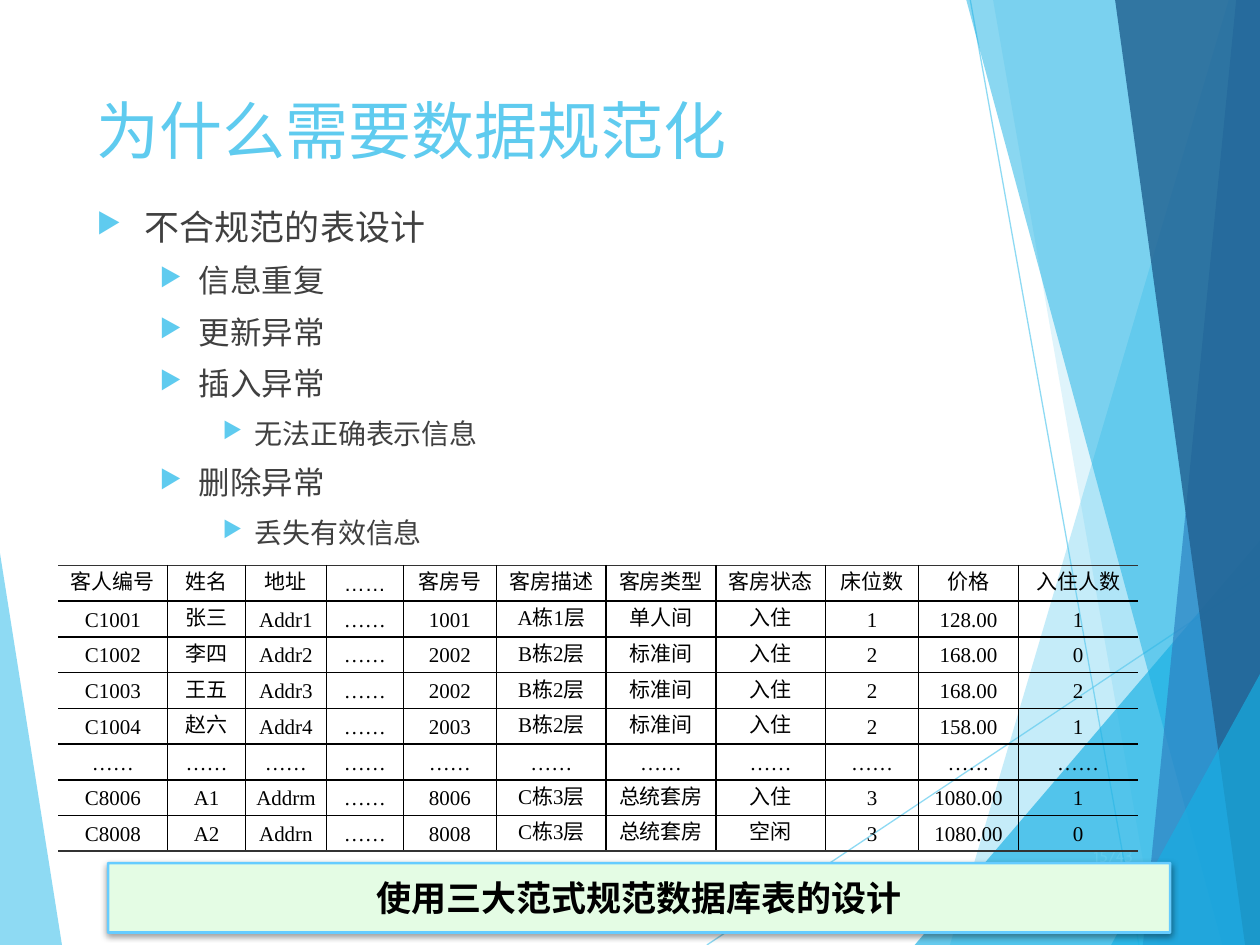
from lxml.etree import SubElement
from pptx import Presentation
from pptx.dml.color import RGBColor
from pptx.enum.shapes import MSO_CONNECTOR as Connector, MSO_SHAPE as Shape
from pptx.enum.text import MSO_ANCHOR as Anchor, PP_ALIGN as Align
from pptx.oxml.ns import qn
from pptx.util import Cm, Pt

COLORS = {
    "sky": "5FCBEF", "cyan": "17B0E4", "blue": "2E83C3", "navy": "226292",
    "text": "404040", "black": "000000", "rule": "333333",
    "mint": "E4FCE4", "border": "66CCFF",
}
CJK = "Noto Sans CJK SC"
RIGHT, BOTTOM = 25.4, 19.05

LEFT_WEDGE = ([(0, 11.15), (1.25, BOTTOM), (0, BOTTOM)], "sky", 70)
RAYS = [((14.25, BOTTOM), (RIGHT, 11.61)), ((19.56, 0), (22.96, BOTTOM))]


def strip(top_x, bottom_x):
    return [(top_x, 0), (bottom_x, BOTTOM), (RIGHT, BOTTOM), (RIGHT, 0)]


def corner(bottom_x, right_y):
    return [(bottom_x, BOTTOM), (RIGHT, right_y), (RIGHT, BOTTOM)]


RIGHT_FACETS = [
    (strip(24.77, 19.15), "sky", 36),
    (strip(20.02, 23.34), "sky", 20),
    (corner(18.44, 10.9), "cyan", 66),
    (strip(19.48, 24.64), "cyan", 50),
    (strip(24.92, 23.04), "blue", 70),
    (strip(22.48, 25.1), "navy", 82),
    (corner(22.4, 13.59), "cyan", 66),
]

TITLE = "为什么需要数据规范化"
OUTLINE = [
    (0, "不合规范的表设计"),
    (1, "信息重复"),
    (1, "更新异常"),
    (1, "插入异常"),
    (2, "无法正确表示信息"),
    (1, "删除异常"),
    (2, "丢失有效信息"),
]
LEVELS = [(20, 0.97, 0.97), (18, 2.06, 0.79), (16, 3.18, 0.64)]
PAGE_NUMBER = "15/43"
CONCLUSION = "使用三大范式规范数据库表的设计"

DOTS = "……"
COLUMN_WIDTHS = [2.21, 1.57, 1.63, 1.55, 1.88, 2.21, 2.21, 2.21, 1.88, 2.01, 2.41]
ROW_HEIGHT = 0.72
ROWS = [
    ["客人编号", "姓名", "地址", DOTS, "客房号", "客房描述", "客房类型", "客房状态",
     "床位数", "价格", "入住人数"],
    ["C1001", "张三", "Addr1", DOTS, "1001", "A栋1层", "单人间", "入住", "1", "128.00", "1"],
    ["C1002", "李四", "Addr2", DOTS, "2002", "B栋2层", "标准间", "入住", "2", "168.00", "0"],
    ["C1003", "王五", "Addr3", DOTS, "2002", "B栋2层", "标准间", "入住", "2", "168.00", "2"],
    ["C1004", "赵六", "Addr4", DOTS, "2003", "B栋2层", "标准间", "入住", "2", "158.00", "1"],
    [DOTS] * len(COLUMN_WIDTHS),
    ["C8006", "A1", "Addrm", DOTS, "8006", "C栋3层", "总统套房", "入住", "3", "1080.00", "1"],
    ["C8008", "A2", "Addrn", DOTS, "8008", "C栋3层", "总统套房", "空闲", "3", "1080.00", "0"],
]


def color(name):
    return RGBColor.from_string(COLORS[name])


def set_opacity(properties, percent):
    for node in properties.iter(qn("a:srgbClr")):
        SubElement(node, qn("a:alpha"), val=str(percent * 1000))


def add_run(paragraph, text, size, color_name, latin=CJK, east_asian=CJK, bold=False):
    run = paragraph.add_run()
    run.text = text
    run.font.size = Pt(size)
    run.font.bold = bold
    run.font.color.rgb = color(color_name)
    run.font.name = latin
    SubElement(run.font._element, qn("a:ea"), typeface=east_asian)


def add_facet(slide, points, color_name, opacity):
    start, *others = [(Cm(x), Cm(y)) for x, y in points]
    builder = slide.shapes.build_freeform(*start)
    builder.add_line_segments(others, close=True)
    shape = builder.convert_to_shape()
    shape.shadow.inherit = False
    shape.fill.solid()
    shape.fill.fore_color.rgb = color(color_name)
    shape.line.fill.background()
    set_opacity(shape._element.spPr, opacity)


def add_ray(slide, start, end):
    ends = [Cm(value) for value in (*start, *end)]
    line = slide.shapes.add_connector(Connector.STRAIGHT, *ends)
    line.line.color.rgb = color("sky")
    line.line.width = Pt(0.75)
    set_opacity(line._element.spPr, 70)
    SubElement(line._element.spPr, qn("a:effectLst"))


def add_text_box(slide, left, top, width, height, anchor):
    box = slide.shapes.add_textbox(Cm(left), Cm(top), Cm(width), Cm(height))
    box.text_frame.word_wrap = True
    box.text_frame.vertical_anchor = anchor
    return box.text_frame


def add_outline(slide):
    frame = add_text_box(slide, 1.7, 4.11, 21.41, 12.24, Anchor.TOP)
    for index, (level, text) in enumerate(OUTLINE):
        size, margin, hanging = LEVELS[level]
        paragraph = frame.add_paragraph() if index else frame.paragraphs[0]
        paragraph.level = level
        paragraph.line_spacing = 0.9
        paragraph.space_before = Pt(10)
        properties = paragraph._p.get_or_add_pPr()
        properties.set("marL", str(Cm(margin)))
        properties.set("indent", str(-Cm(hanging)))
        bullet_color = SubElement(properties, qn("a:buClr"))
        SubElement(bullet_color, qn("a:srgbClr"), val=COLORS["sky"])
        SubElement(properties, qn("a:buSzPct"), val="80000")
        SubElement(properties, qn("a:buChar"), char="▶")
        add_run(paragraph, text, size, "text")


def set_border(cell, side, color_name):
    properties = cell._tc.get_or_add_tcPr()
    line = SubElement(properties, qn(f"a:ln{side}"), w=str(Pt(1)))
    if color_name:
        fill = SubElement(line, qn("a:solidFill"))
        SubElement(fill, qn("a:srgbClr"), val=COLORS[color_name])
    else:
        SubElement(line, qn("a:noFill"))


def add_guest_table(slide):
    last_row, last_column = len(ROWS) - 1, len(COLUMN_WIDTHS) - 1
    table = slide.shapes.add_table(
        len(ROWS), len(COLUMN_WIDTHS), Cm(1.17), Cm(11.4),
        Cm(sum(COLUMN_WIDTHS)), Cm(ROW_HEIGHT * len(ROWS))).table
    table.first_row = table.horz_banding = False
    for column, width in zip(table.columns, COLUMN_WIDTHS):
        column.width = Cm(width)
    for i, values in enumerate(ROWS):
        table.rows[i].height = Cm(ROW_HEIGHT)
        for j, value in enumerate(values):
            cell = table.cell(i, j)
            cell.margin_left = cell.margin_right = Cm(0.13)
            cell.margin_top = cell.margin_bottom = 0
            cell.vertical_anchor = Anchor.MIDDLE
            set_border(cell, "L", "black" if j else None)
            set_border(cell, "R", "black" if j < last_column else None)
            set_border(cell, "T", "black" if i else "rule")
            set_border(cell, "B", "black" if i < last_row else "rule")
            cell.fill.background()
            paragraph = cell.text_frame.paragraphs[0]
            paragraph.alignment = Align.CENTER
            paragraph.line_spacing = Pt(14.5)
            latin = "Times New Roman" if i else "Arial"
            add_run(paragraph, value, 12, "black", latin,
                    "Times New Roman" if value == DOTS else CJK)


def add_conclusion(slide):
    banner = slide.shapes.add_shape(
        Shape.ROUNDED_RECTANGLE, Cm(2.18), Cm(17.4), Cm(21.41), Cm(1.4))
    banner.adjustments[0] = 0.01
    banner.fill.solid()
    banner.fill.fore_color.rgb = color("mint")
    banner.line.color.rgb = color("border")
    banner.line.width = Pt(1.5)
    banner.shadow.inherit = False
    effects = banner._element.spPr.find(qn("a:effectLst"))
    shadow = SubElement(effects, qn("a:outerShdw"), blurRad=str(Pt(4)),
                        dist=str(Pt(1)), dir="5400000", rotWithShape="0")
    SubElement(shadow, qn("a:srgbClr"), val=COLORS["black"])
    set_opacity(shadow, 40)
    banner.text_frame.vertical_anchor = Anchor.MIDDLE
    paragraph = banner.text_frame.paragraphs[0]
    paragraph.alignment = Align.CENTER
    add_run(paragraph, CONCLUSION, 20, "black", "Arial", bold=True)


def main():
    presentation = Presentation()
    presentation.slide_width, presentation.slide_height = Cm(RIGHT), Cm(BOTTOM)
    slide = presentation.slides.add_slide(presentation.slide_layouts[6])
    add_facet(slide, *LEFT_WEDGE)
    for ray in RAYS:
        add_ray(slide, *ray)
    for facet in RIGHT_FACETS:
        add_facet(slide, *facet)
    title = add_text_box(slide, 1.7, 1.7, 21.41, 1.8, Anchor.MIDDLE)
    add_run(title.paragraphs[0], TITLE, 36, "sky")
    add_outline(slide)
    number = add_text_box(slide, 21.67, 16.76, 1.42, 1.02, Anchor.MIDDLE)
    number.paragraphs[0].alignment = Align.RIGHT
    add_run(number.paragraphs[0], PAGE_NUMBER, 9, "sky", "Cabin")
    add_conclusion(slide)
    add_guest_table(slide)
    presentation.save("out.pptx")


if __name__ == "__main__":
    main()
